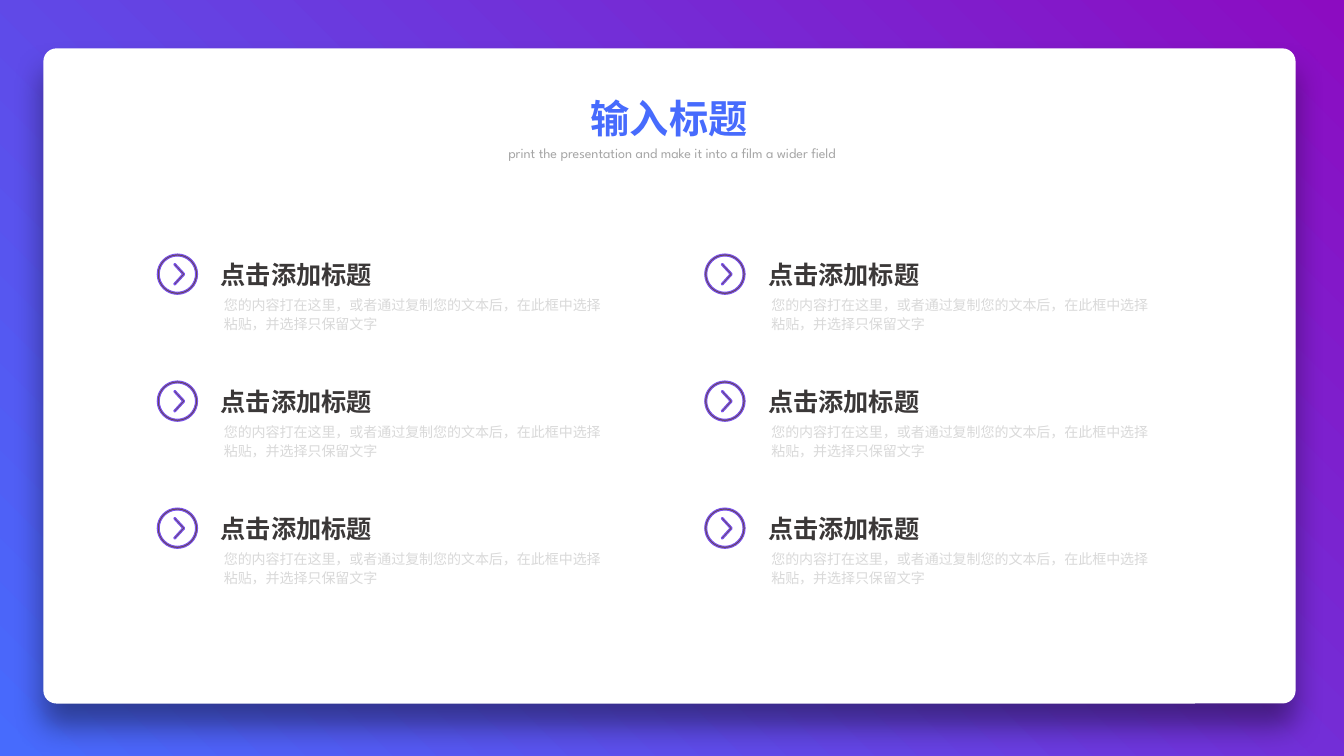
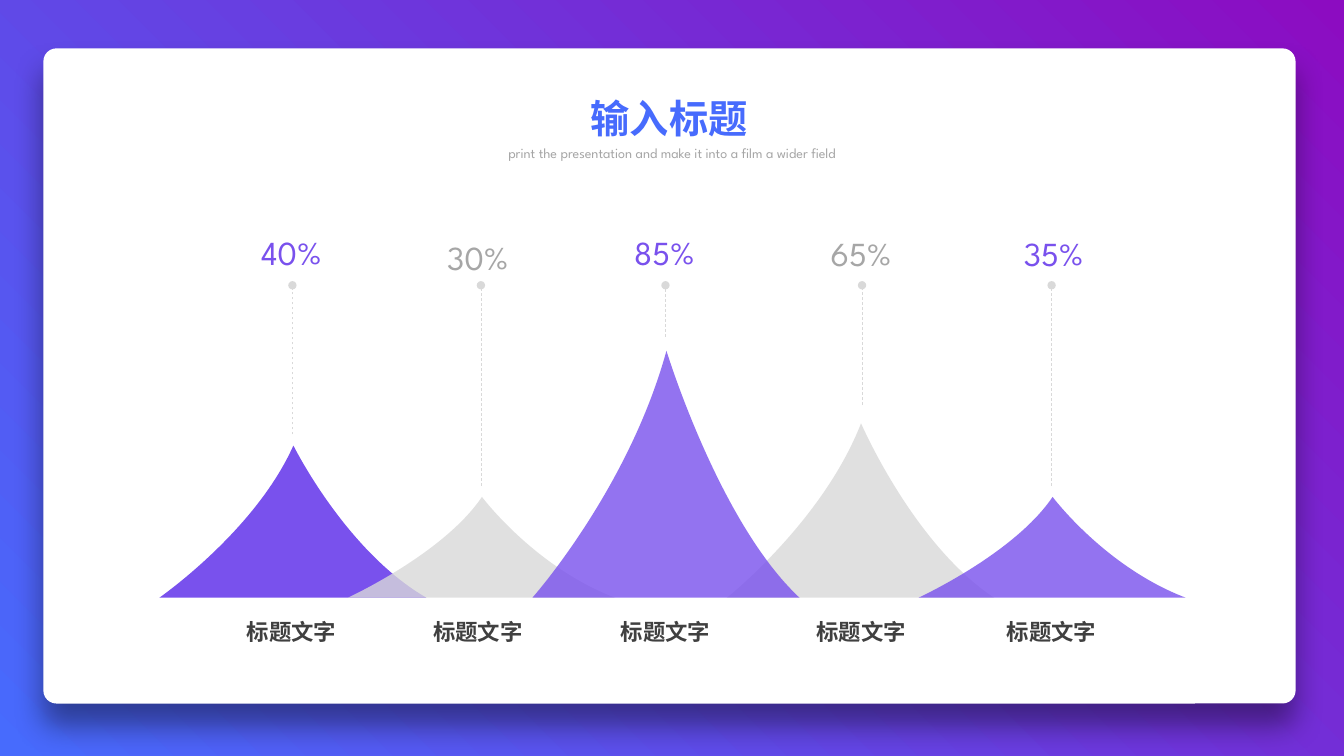
from lxml.etree import SubElement
from pptx import Presentation
from pptx.dml.color import RGBColor
from pptx.enum.dml import MSO_LINE
from pptx.enum.shapes import MSO_CONNECTOR, MSO_SHAPE as SHAPE
from pptx.enum.text import MSO_ANCHOR as ANCHOR, MSO_AUTO_SIZE as AUTO, PP_ALIGN as ALIGN
from pptx.oxml.ns import qn
from pptx.util import Inches, Pt

CJK, LATIN = "Noto Sans CJK SC", "League Spartan"
BLUE, MAGENTA, VIOLET, BROWN = "476BFD", "8C0CC1", "7951ED", "64443D"
WHITE, SILVER, GREY = "FFFFFF", "D9D9D9", "A6A6A6"
INK, CAPTION = "3B3838", "404040"


def rgb(value):
    """Turn a hex string into a colour."""
    return RGBColor.from_string(value)


def inches(*values):
    """Turn numbers into lengths."""
    return [Inches(v) for v in values]


def grade(fill):
    """Apply the theme gradient, rising from blue to magenta."""
    fill.gradient()
    fill.gradient_angle = 45
    for stop, color in zip(fill.gradient_stops, (BLUE, MAGENTA)):
        stop.color.rgb = rgb(color)


def style(p, size, color, name, bold=False, align=None):
    """Format a paragraph; without a colour it takes the theme gradient."""
    p.alignment = align
    f = p.font
    f.size, f.bold, f.name = Pt(size), bold, name
    SubElement(f._element, qn("a:ea"), typeface=name)
    if color:
        f.color.rgb = rgb(color)
    else:
        grade(f.fill)


def paint(sp, fill, line=None, alpha=None):
    """Fill and outline a shape without a shadow."""
    sp.shadow.inherit = False
    sp.fill.solid()
    sp.fill.fore_color.rgb = rgb(fill)
    if alpha:
        color = sp._element.spPr.find(".//" + qn("a:srgbClr"))
        SubElement(color, qn("a:alpha"), val=str(alpha * 1000))
    if line:
        sp.line.color.rgb = rgb(line)
        sp.line.width = Pt(0.75)
    else:
        sp.line.fill.background()


def write(sp, text, size, color, name, bold=False, align=None, inset=True):
    """Put one formatted paragraph in a shape and return its frame."""
    tf = sp.text_frame
    tf.word_wrap = True
    if not inset:
        tf.margin_left = tf.margin_top = tf.margin_right = tf.margin_bottom = 0
    p = tf.paragraphs[0]
    p.text = text
    style(p, size, color, name, bold, align)
    return tf


def add_text(s, box, *args, **kwargs):
    """Add a text box that grows with its paragraph."""
    tf = write(s.shapes.add_textbox(*inches(*box)), *args, **kwargs)
    tf.auto_size = AUTO.SHAPE_TO_FIT_TEXT
    return tf


def add_outline(s, x, y, w, h, size, steps):
    """Draw a curved outline whose points lie on a grid of the given size."""
    fb = s.shapes.build_freeform(*inches(x, y))
    fb.add_line_segments([inches(x + w, y + h)])
    sp = fb.convert_to_shape()
    outline = sp._element.spPr.find(".//" + qn("a:path"))
    for child in list(outline):
        outline.remove(child)
    outline.set("w", str(size))
    outline.set("h", str(size))
    for tag, *points in steps:
        step = SubElement(outline, qn("a:" + tag))
        for px, py in points:
            SubElement(step, qn("a:pt"), x=str(px), y=str(py))
    SubElement(outline, qn("a:close"))
    return sp


def dress_layout(layout, s):
    """Give the master its gradient and the layout its white card."""
    grade(layout.slide_master.background.fill)
    card = s.shapes.add_shape(SHAPE.ROUNDED_RECTANGLE, *inches(0.43, 0.48, 12.42, 6.5))
    card.adjustments[0] = 0.02
    paint(card, WHITE)
    effects = card._element.spPr.find(qn("a:effectLst"))
    shadow = SubElement(effects, qn("a:outerShdw"), blurRad=str(Pt(22)),
                        dist=str(Pt(16)), dir="5400000", rotWithShape="0")
    color = SubElement(shadow, qn("a:srgbClr"), val="000000")
    SubElement(color, qn("a:alpha"), val="40000")
    layout.shapes._spTree.insert(2, card._element)


def add_header(s):
    """Fill the title and the line below it."""
    title = s.shapes.title
    title.left, title.top, title.width, title.height = inches(5.76, 0.89, 1.81, 0.57)
    tf = write(title, "输入标题", 28, None, CJK, True, ALIGN.JUSTIFY)
    tf.word_wrap = False
    tf.auto_size = AUTO.SHAPE_TO_FIT_TEXT
    tf.vertical_anchor = ANCHOR.TOP
    add_text(s, (4.5, 1.38, 4.33, 0.27),
             "print the presentation and make it into a film a wider field",
             10, GREY, LATIN, align=ALIGN.CENTER)


def circle(c, r, turn):
    """List the steps of a circle; turn sets where it starts and its direction."""
    k, v = round(r * 0.55), r * turn
    kv = k * turn
    return [
        ("moveTo", (c, c + v)),
        ("cubicBezTo", (c - k, c + v), (c - r, c + kv), (c - r, c)),
        ("cubicBezTo", (c - r, c - kv), (c - k, c - v), (c, c - v)),
        ("cubicBezTo", (c + k, c - v), (c + r, c - kv), (c + r, c)),
        ("cubicBezTo", (c + r, c + kv), (c + k, c + v), (c, c + v)),
    ]


def add_icon(s, x, y):
    """Draw a ring with an arrowhead as one outline."""
    arrow = [
        ("moveTo", (180, 97)),
        ("cubicBezTo", (178, 94), (173, 93), (170, 95)),
        ("cubicBezTo", (165, 98), (163, 104), (166, 108)),
        ("lnTo", (250, 200)),
        ("lnTo", (166, 294)),
        ("cubicBezTo", (163, 298), (165, 303), (168, 306)),
        ("cubicBezTo", (172, 309), (177, 308), (180, 305)),
        ("lnTo", (270, 207)),
        ("cubicBezTo", (273, 203), (273, 198), (270, 194)),
        ("cubicBezTo", (270, 194), (180, 97), (180, 97)),
    ]
    steps = circle(200, 180, 1) + circle(200, 200, -1) + arrow
    paint(add_outline(s, x, y, 0.4, 0.4, 400, steps), BROWN, VIOLET)


def add_item(s, x, y):
    """Place one icon with its heading and description."""
    add_text(s, (x + 0.53, y, 5.12, 0.4), "点击添加标题", 18, INK, CJK, True)
    tf = add_text(s, (x + 0.66, y + 0.4, 3.75, 0.38),
                  "您的内容打在这里，或者通过复制您的文本后，在此框中选择粘贴，并选择只保留文字",
                  10, SILVER, CJK, inset=False)
    tf.paragraphs[0].line_spacing = 1.14
    add_icon(s, x, y)


def build_list(s):
    """Lay out the items in two columns of three."""
    add_header(s)
    for col in range(2):
        for row in range(3):
            add_item(s, 1.56 + 5.43 * col, 2.52 + 1.26 * row)


def add_peak(s, x, y, w, h, color, alpha):
    """Draw a peak with hollow flanks in the given box."""
    left, right, top = (0, 1000), (1000, 1000), (502, 0)
    steps = [
        ("moveTo", left),
        ("lnTo", right),
        ("cubicBezTo", (698, 695), top, top),
        ("cubicBezTo", (359, 563), left, left),
    ]
    paint(add_outline(s, x, y, w, h, 1000, steps), color, alpha=alpha)


def add_value(s, x, y, text, color, backed):
    """Write a percentage, on a white plate if backed."""
    box = inches(x, y, 1.04, 0.28)
    if backed:
        sp = s.shapes.add_shape(SHAPE.RECTANGLE, *box)
        paint(sp, WHITE)
    else:
        sp = s.shapes.add_textbox(*box)
    tf = write(sp, text, 24, color, LATIN, align=ALIGN.CENTER, inset=False)
    tf.word_wrap = False
    tf.vertical_anchor = ANCHOR.MIDDLE


def add_pin(s, x, bottom, top):
    """Draw a dashed line that ends in a dot at the top."""
    pin = s.shapes.add_connector(MSO_CONNECTOR.STRAIGHT, *inches(x, bottom, x, top))
    pin.line.color.rgb = rgb(SILVER)
    pin.line.width = Pt(0.5)
    pin.line.dash_style = MSO_LINE.DASH
    SubElement(pin.line._get_or_add_ln(), qn("a:tailEnd"), type="oval")
    SubElement(pin._element.spPr, qn("a:effectLst"))


def build_peaks(s):
    """Draw the five overlapping peaks with values and captions."""
    add_header(s)
    base, width = 5.93, 2.65
    peaks = [
        ("40%", 1.58, 4.42, 2.37, 2.36, VIOLET, VIOLET, None),
        ("30%", 3.45, 4.93, 4.22, 2.41, SILVER, GREY, 80),
        ("65%", 7.21, 4.2, 8.02, 2.37, SILVER, GREY, 80),
        ("85%", 5.28, 3.48, 6.07, 2.36, VIOLET, VIOLET, 80),
        ("35%", 9.11, 4.93, 9.93, 2.37, VIOLET, VIOLET, 80),
    ]
    for value, x, top, value_x, value_y, fill, color, alpha in peaks:
        add_peak(s, x, top, width, base - top, fill, alpha)
        add_value(s, value_x, value_y, value, color, value == "30%")
    pins = [(2.9, 4.31), (4.77, 4.82), (6.6, 3.34), (8.55, 4.02), (10.43, 4.82)]
    for x, bottom in pins:
        add_pin(s, x, bottom, 2.83)
    for x in (1.88, 3.73, 5.59, 7.53, 9.42):
        add_text(s, (x, 6.08, 2.02, 0.35), "标题文字", 16, CAPTION, CJK, True, ALIGN.CENTER)


def main():
    """Build and save the presentation."""
    prs = Presentation()
    prs.slide_width, prs.slide_height = inches(13.33, 7.5)
    layout = prs.slide_layouts[5]
    slides = [prs.slides.add_slide(layout) for _ in range(2)]
    dress_layout(layout, slides[0])
    for build, s in zip((build_list, build_peaks), slides):
        build(s)
    prs.save("out.pptx")


if __name__ == "__main__":
    main()
